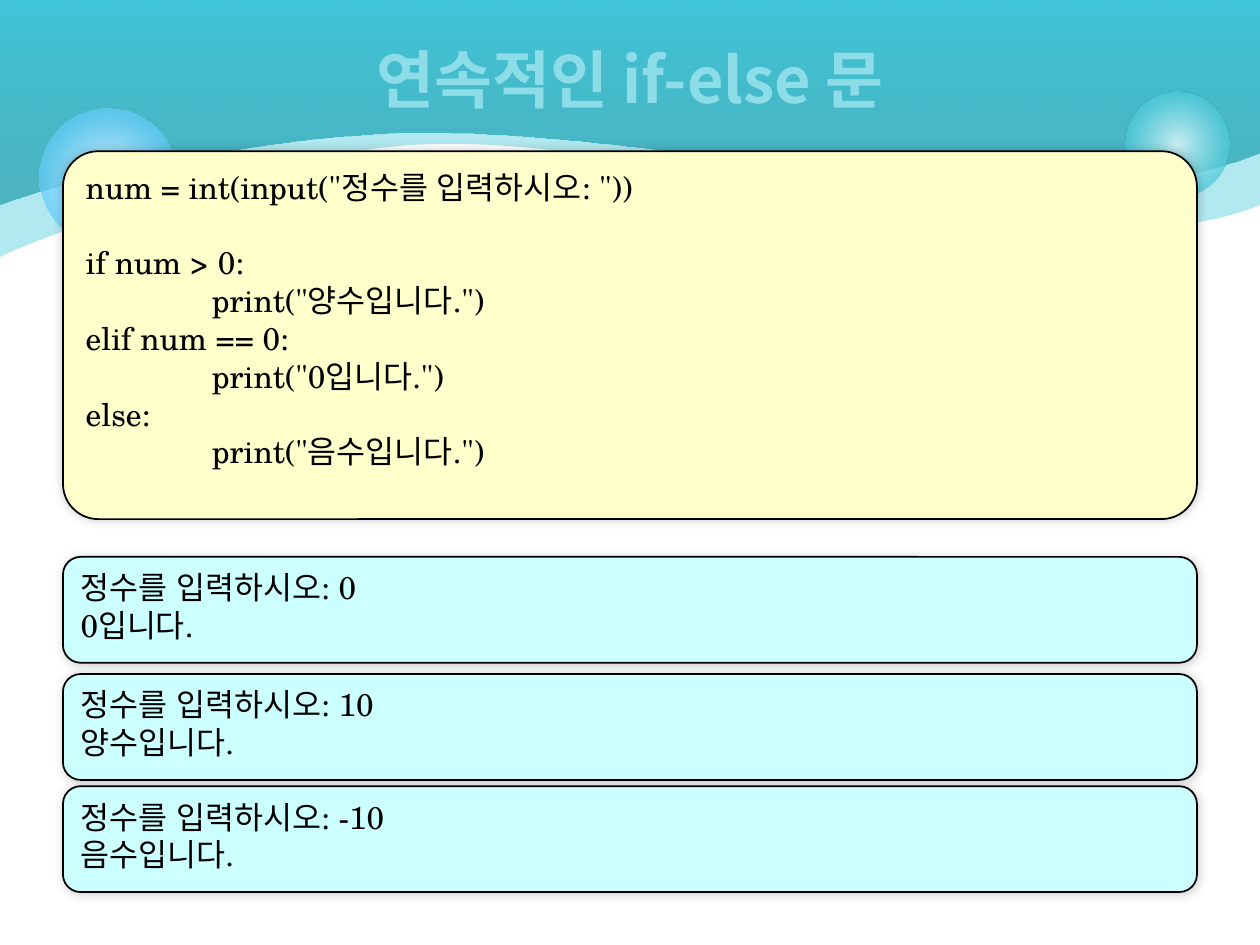
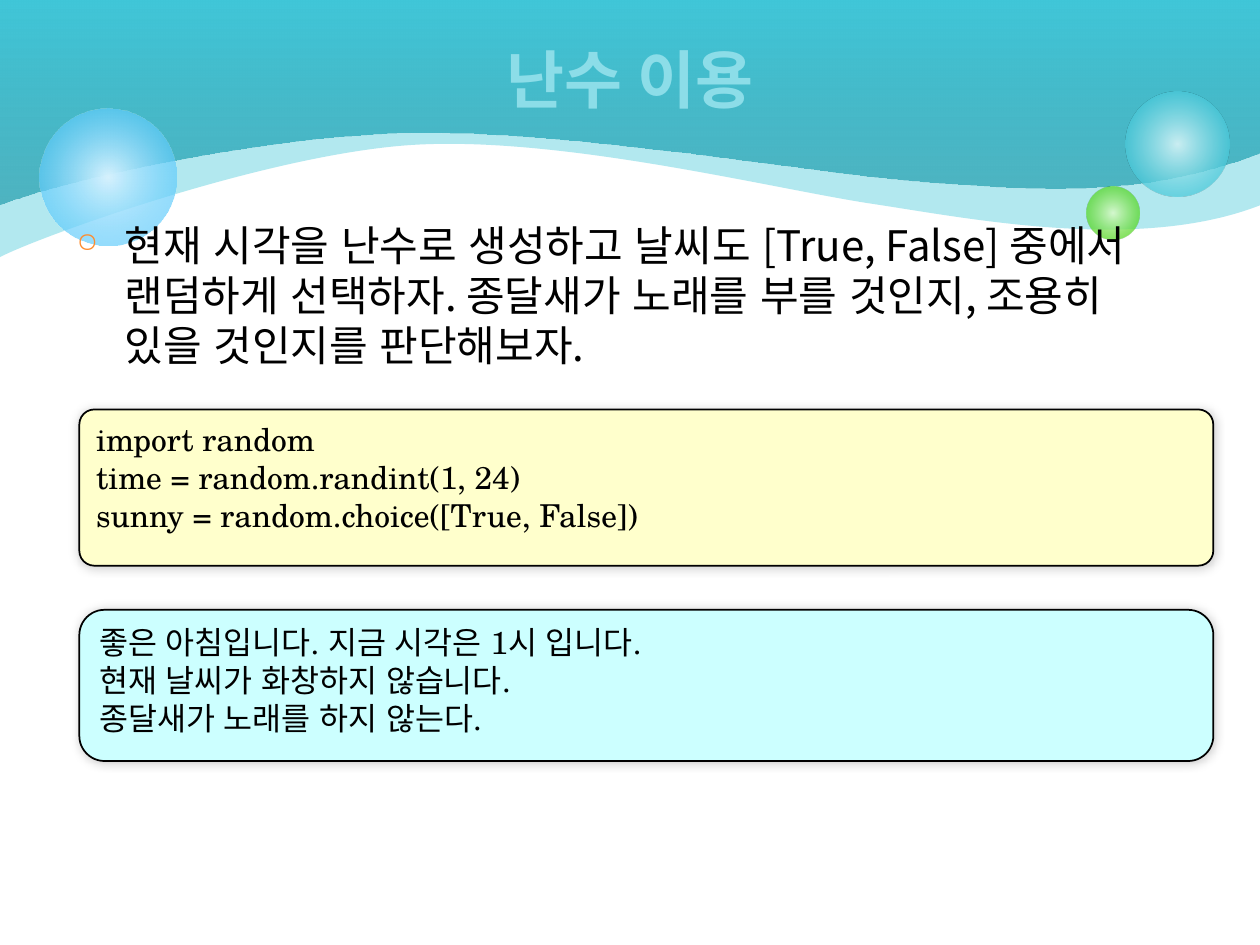
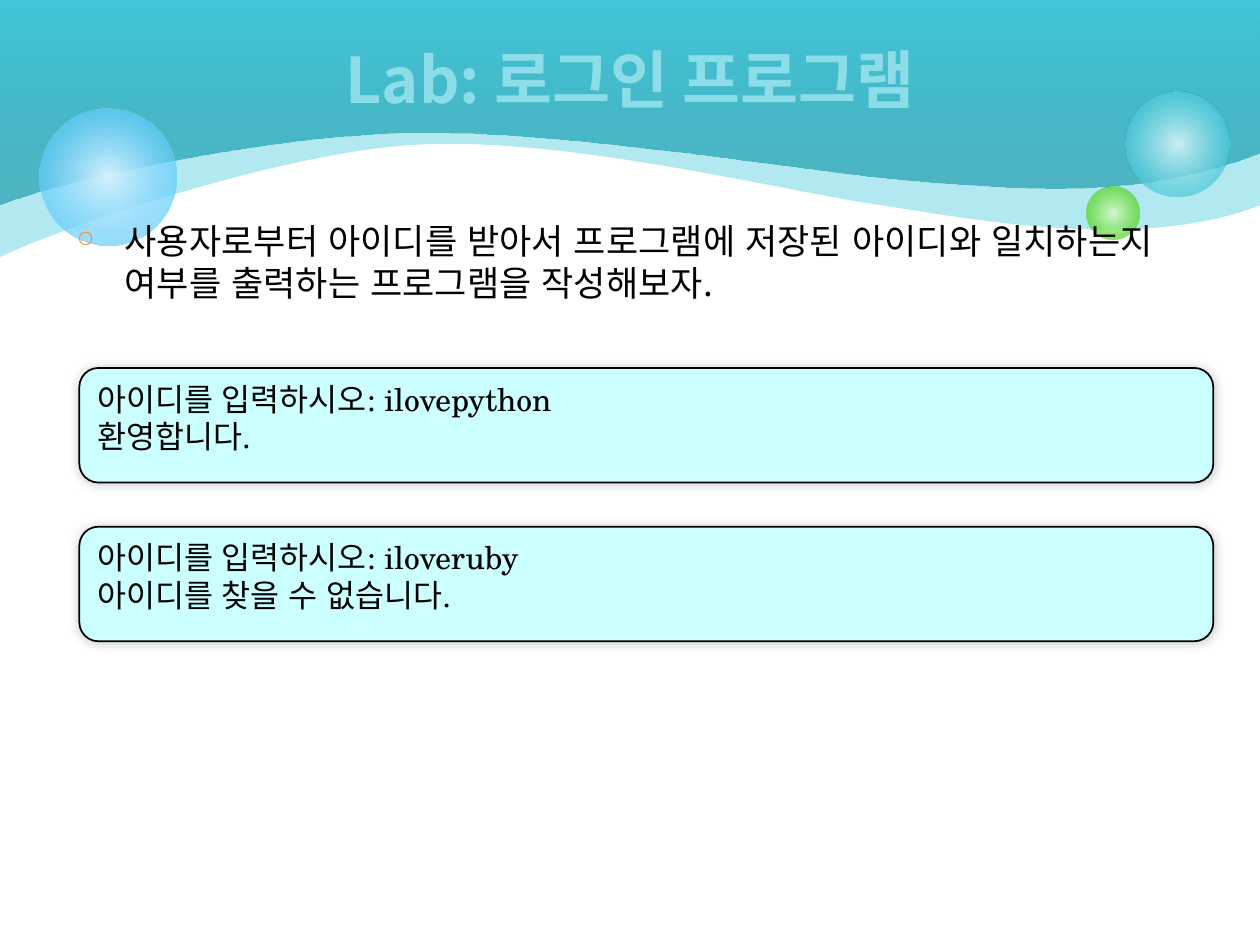
from pptx import Presentation
from pptx.dml.color import RGBColor
from pptx.enum.shapes import MSO_SHAPE
from pptx.enum.text import MSO_ANCHOR, PP_ALIGN
from pptx.oxml import parse_xml
from pptx.oxml.ns import nsdecls, qn
from pptx.util import Inches, Pt

OVAL = MSO_SHAPE.OVAL
ROUNDED = MSO_SHAPE.ROUNDED_RECTANGLE
ALTERNATE = MSO_SHAPE.FLOWCHART_ALTERNATE_PROCESS
CENTER, LEFT = PP_ALIGN.CENTER, PP_ALIGN.LEFT
TOP, MIDDLE = MSO_ANCHOR.TOP, MSO_ANCHOR.MIDDLE

BLACK = RGBColor(0x00, 0x00, 0x00)
CREAM = RGBColor(0xFF, 0xFF, 0xCC)
ICE = RGBColor(0xCC, 0xFF, 0xFF)
TEAL = RGBColor(0x40, 0xC6, 0xD8)
DEEP_TEAL = RGBColor(0x24, 0x9E, 0xAE)
MIST = RGBColor(0xD9, 0xF4, 0xF7)
AQUA = RGBColor(0x8C, 0xDD, 0xE8)
PALE_BLUE = RGBColor(0xD6, 0xF2, 0xFE)
SKY = RGBColor(0x33, 0xBD, 0xFB)
PALE_GREEN = RGBColor(0xDA, 0xFA, 0xCD)
GREEN = RGBColor(0x4C, 0xD4, 0x16)
ORANGE = RGBColor(0xFE, 0x8C, 0x2E)

SANS, SERIF = "Noto Sans CJK KR", "TeX Gyre Schola"
TITLE_FONT = {"name": SANS, "size": Pt(36), "bold": True}
CODE_FONT = {"name": SERIF, "size": Pt(18)}
CODE_LINE = Pt(21.6)

LINEAR = '<a:lin ang="16200000" scaled="0"/>'
TITLE_SHADE = '<a:lin ang="5400000" scaled="0"/>'
RADIAL = ('<a:path path="circle"><a:fillToRect l="50000" t="50000" '
          'r="50000" b="50000"/></a:path>')
TITLE_STOPS = [(0, MIST, 100), (48, AQUA, 100), (57, MIST, 100), (100, MIST, 100)]

BACK_WAVE = [
    (0, 2.04),
    [(0.33, 1.87), (2.14, 1.22), (3.28, 1.15)],
    [(4.43, 1.08), (6.06, 1.48), (6.87, 1.61)],
    [(7.68, 1.73), (9.02, 2.01), (10, 1.63)],
]
FRONT_WAVE = [
    (0, 1.62),
    [(0.45, 1.44), (2.03, 1.08), (3.26, 1.05)],
    [(4.49, 1.02), (6.58, 1.39), (7.37, 1.44)],
    [(8.16, 1.49), (9.02, 1.59), (10, 1.21)],
]
TEAL_BUBBLE = (8.93, 0.73, 0.83, [(0, MIST, 90), (76, TEAL, 70), (100, TEAL, 70)])
GREEN_BUBBLE = (8.62, 1.48, 0.42, [(0, PALE_GREEN, 90), (76, GREEN, 70), (100, GREEN, 70)])
BLUE_BUBBLE = (0.31, 0.86, 1.09, [(0, PALE_BLUE, 100), (100, SKY, 54)])


def set_attrs(target, values):
    """Set each attribute named in a dict of format values."""
    for name, value in values.items():
        setattr(target, name, value)


def set_gradient(parent, fill, stops, shade):
    """Give an element a gradient of (position, colour, opacity) stops."""
    fill.solid()
    gs = "".join(
        f'<a:gs pos="{pos * 1000}"><a:srgbClr val="{color}">'
        f'<a:alpha val="{alpha * 1000}"/></a:srgbClr></a:gs>'
        for pos, color, alpha in stops)
    solid = parent.find(qn("a:solidFill"))
    parent.replace(solid, parse_xml(
        f'<a:gradFill {nsdecls("a")} rotWithShape="1"><a:gsLst>{gs}</a:gsLst>'
        f'{shade}</a:gradFill>'))


def add_wave(s, start, *curves):
    """Draw a band from the slide top down to an edge of Bezier curves."""
    corners = [start, *(curve[-1] for curve in curves), (10.01, 0)]
    fb = s.shapes.build_freeform(0, 0, scale=Inches(0.01))
    fb.add_line_segments([(x * 100, y * 100) for x, y in corners], close=True)
    sp = fb.convert_to_shape()
    sp.shadow.inherit = False
    sp.line.fill.background()
    edges = list(sp._element.iter(qn("a:lnTo")))[1:-1]
    for edge, curve in zip(edges, curves):
        pts = "".join(f'<a:pt x="{round(x * 100)}" y="{round(y * 100)}"/>'
                      for x, y in curve)
        edge.getparent().replace(edge, parse_xml(
            f'<a:cubicBezTo {nsdecls("a")}>{pts}</a:cubicBezTo>'))
    return sp


def add_bubble(s, left, top, size, stops):
    """Draw a glassy circle."""
    sp = s.shapes.add_shape(OVAL, *map(Inches, (left, top, size, size)))
    sp.shadow.inherit = False
    sp.line.fill.background()
    set_gradient(sp._element.spPr, sp.fill, stops, RADIAL)


def add_backdrop(s, bubbles):
    """Draw the two waves and the bubbles."""
    sp = add_wave(s, *BACK_WAVE)
    sp.fill.solid()
    sp.fill.fore_color.rgb = TEAL
    color = sp._element.spPr.find(qn("a:solidFill"))[0]
    color.append(parse_xml(f'<a:alpha {nsdecls("a")} val="40000"/>'))
    sp = add_wave(s, *FRONT_WAVE)
    set_gradient(sp._element.spPr, sp.fill,
                 [(0, DEEP_TEAL, 69), (100, TEAL, 100)], LINEAR)
    for bubble in bubbles:
        add_bubble(s, *bubble)


def add_run(p, text, font, east_asian=SERIF):
    """Add a black run with an East Asian font."""
    r = p.add_run()
    r.text = text
    set_attrs(r.font, font)
    r.font.color.rgb = BLACK
    r._r.rPr.append(parse_xml(f'<a:ea {nsdecls("a")} typeface="{east_asian}"/>'))
    return r


def add_text_frame(s, box):
    """Add a wrapping text box and return its frame."""
    tf = s.shapes.add_textbox(*map(Inches, box)).text_frame
    tf.word_wrap = True
    return tf


def add_title(s, text):
    """Add the centred gradient title."""
    tf = add_text_frame(s, (0.5, 0, 9, 1.25))
    tf.vertical_anchor = MIDDLE
    p = tf.paragraphs[0]
    p.alignment = CENTER
    r = add_run(p, text, TITLE_FONT, SANS)
    rPr = r._r.rPr
    set_gradient(rPr, r.font.fill, TITLE_STOPS, TITLE_SHADE)
    rPr.insert(0, parse_xml(
        f'<a:ln {nsdecls("a")} w="6350"><a:solidFill><a:srgbClr val="{MIST}"/>'
        '</a:solidFill></a:ln>'))


def add_bullet(s, text, size):
    """Add the bulleted task description."""
    p = add_text_frame(s, (0.51, 1.69, 9, 4.95)).paragraphs[0]
    set_attrs(p, {"alignment": LEFT, "line_spacing": Pt(size * 1.2)})
    add_run(p, text, {"name": SANS, "size": Pt(size)})
    pPr = p._p.get_or_add_pPr()
    pPr.set("marL", str(Inches(0.38)))
    pPr.set("indent", str(Inches(-0.38)))
    for bullet in (f'<a:buClr {nsdecls("a")}><a:srgbClr val="{ORANGE}"/></a:buClr>',
                   f'<a:buSzPct {nsdecls("a")} val="65000"/>',
                   f'<a:buChar {nsdecls("a")} char="○"/>'):
        pPr.append(parse_xml(bullet))


def add_panel(s, kind, color, box, lines):
    """Add a rounded panel of lines; a None leaves a line's gap."""
    sp = s.shapes.add_shape(kind, *map(Inches, box))
    sp.fill.solid()
    sp.fill.fore_color.rgb = color
    sp.line.color.rgb = BLACK
    sp.line.width = Pt(1)
    sp._element.spPr.append(parse_xml(
        f'<a:effectLst {nsdecls("a")}><a:outerShdw blurRad="76200" dist="0" '
        'dir="18900000" algn="bl" rotWithShape="0"><a:srgbClr val="000000">'
        '<a:alpha val="20000"/></a:srgbClr></a:outerShdw></a:effectLst>'))
    tf = sp.text_frame
    set_attrs(tf, {"word_wrap": True, "vertical_anchor": TOP})
    p, gap = tf.paragraphs[0], False
    for i, line in enumerate(lines):
        if line is None:
            gap = True
            continue
        if i:
            p = tf.add_paragraph()
        p.alignment = LEFT
        if gap:
            p.space_before = CODE_LINE
        if line.startswith("\t"):
            p._p.get_or_add_pPr().append(parse_xml(
                f'<a:tabLst {nsdecls("a")}><a:tab pos="{Inches(1)}" algn="l"/>'
                '</a:tabLst>'))
        add_run(p, line, CODE_FONT)
        gap = False
    return sp


def add_code(s, box, lines):
    """Add a cream panel of program code."""
    add_panel(s, ROUNDED, CREAM, box, lines).adjustments[0] = 0.096


def add_output(s, box, lines):
    """Add a pale blue panel of program output."""
    add_panel(s, ALTERNATE, ICE, box, lines)


def add_slide(prs, title, bubbles):
    """Add a blank slide with backdrop and title."""
    s = prs.slides.add_slide(prs.slide_layouts[6])
    add_backdrop(s, bubbles)
    add_title(s, title)
    return s


def main():
    """Build the three slides."""
    prs = Presentation()
    set_attrs(prs, {"slide_width": Inches(10), "slide_height": Inches(7.5)})
    all_bubbles = [TEAL_BUBBLE, GREEN_BUBBLE, BLUE_BUBBLE]

    s = add_slide(prs, "연속적인 if-else 문", [TEAL_BUBBLE, BLUE_BUBBLE])
    add_code(s, (0.5, 1.2, 9, 2.92), [
        'num = int(input("정수를 입력하시오: "))',
        None,
        "if num > 0:",
        '\tprint("양수입니다.")',
        "elif num == 0:",
        '\tprint("0입니다.")',
        "else:",
        '\tprint("음수입니다.")',
    ])
    for top, number, answer in ((4.42, "0", "0입니다."),
                                (5.35, "10", "양수입니다."),
                                (6.24, "-10", "음수입니다.")):
        add_output(s, (0.5, top, 9, 0.84), [f"정수를 입력하시오: {number}", answer])

    s = add_slide(prs, "난수 이용", all_bubbles)
    add_bullet(s, "현재 시각을 난수로 생성하고 날씨도 [True, False] 중에서 랜덤하게 "
                  "선택하자. 종달새가 노래를 부를 것인지, 조용히 있을 것인지를 "
                  "판단해보자.", 24)
    add_code(s, (0.63, 3.25, 9, 1.24), [
        "import random",
        "time = random.randint(1, 24)",
        "sunny = random.choice([True, False])",
    ])
    add_output(s, (0.63, 4.84, 9, 1.2), [
        "좋은 아침입니다. 지금 시각은 1시 입니다.",
        "현재 날씨가 화창하지 않습니다.",
        "종달새가 노래를 하지 않는다.",
    ])

    s = add_slide(prs, "Lab: 로그인 프로그램", all_bubbles)
    add_bullet(s, "사용자로부터 아이디를 받아서 프로그램에 저장된 아이디와 일치하는지 "
                  "여부를 출력하는 프로그램을 작성해보자.", 20)
    for top, user_id, answer in ((2.92, "ilovepython", "환영합니다."),
                                 (4.18, "iloveruby", "아이디를 찾을 수 없습니다.")):
        add_output(s, (0.63, top, 9, 0.91), [f"아이디를 입력하시오: {user_id}", answer])

    prs.save("out.pptx")


if __name__ == "__main__":
    main()
